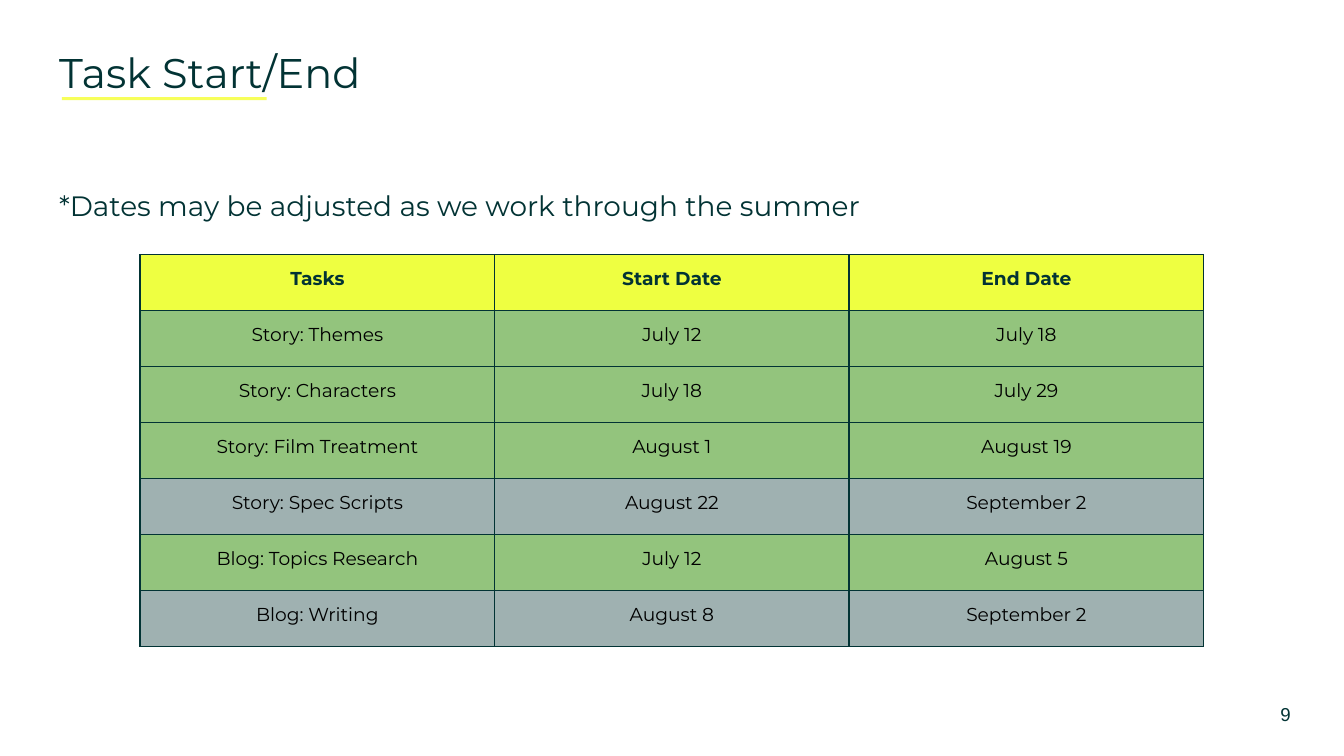
import pptx
import pptx.dml.color
import pptx.enum.shapes
import pptx.enum.text
import pptx.oxml
import pptx.oxml.ns
import pptx.util

RGBColor = pptx.dml.color.RGBColor
Align = pptx.enum.text.PP_ALIGN
Anchor = pptx.enum.text.MSO_ANCHOR

WIDTH = pptx.util.Inches(10)
HEIGHT = WIDTH * 9 // 16

DARK = RGBColor(0x02, 0x33, 0x34)
BLACK = RGBColor(0x00, 0x00, 0x00)
UNDERLINE = RGBColor(0xF7, 0xFF, 0x5A)
HEADER_FILL = RGBColor(0xEE, 0xFF, 0x41)
GREEN = RGBColor(0x93, 0xC4, 0x7D)
TEAL = RGBColor(0x03, 0x33, 0x33)
TEAL_OPACITY = 38

TITLE_FONT = {"name": "Montserrat", "size": pptx.util.Pt(22.2), "color": DARK}
NOTE_FONT = {"name": "Montserrat", "size": pptx.util.Pt(15), "color": DARK}
NUMBER_FONT = {"name": "Arial", "size": pptx.util.Pt(10), "color": DARK}
CELL_FONT = {"name": "Montserrat", "size": pptx.util.Pt(10), "color": BLACK, "bold": False}
HEADER_FONT = {**CELL_FONT, "color": DARK, "bold": True}

COLUMN_SHARE = 26.38
ROW_SHARE = 7.41
HEADINGS = ("Tasks", "Start Date", "End Date")
# Each task: name, start, end, fill colour, opacity in percent
TASKS = (
    ("Story: Themes", "July 12", "July 18", GREEN, 100),
    ("Story: Characters", "July 18", "July 29", GREEN, 100),
    ("Story: Film Treatment", "August 1", "August 19", GREEN, 100),
    ("Story: Spec Scripts", "August 22", "September 2", TEAL, TEAL_OPACITY),
    ("Blog: Topics Research", "July 12", "August 5", GREEN, 100),
    ("Blog: Writing", "August 8", "September 2", TEAL, TEAL_OPACITY),
)


def area(left, top, width, height):
    """Turn percentages of the slide's size into lengths."""
    return [
        int(size * share / 100)
        for size, share in zip((WIDTH, HEIGHT) * 2, (left, top, width, height))
    ]


def set_margins(holder):
    for side in ("left", "top", "right", "bottom"):
        setattr(holder, f"margin_{side}", pptx.util.Inches(0.1))


def format_paragraph(paragraph, font_values, **paragraph_values):
    for name, value in paragraph_values.items():
        setattr(paragraph, name, value)
    for run in paragraph.runs:
        for name, value in font_values.items():
            if name == "color":
                run.font.color.rgb = value
            else:
                setattr(run.font, name, value)


def add_text(slide, place, text, font_values, anchor=Anchor.TOP, **paragraph_values):
    frame = slide.shapes.add_textbox(*place).text_frame
    frame.word_wrap = True
    frame.vertical_anchor = anchor
    set_margins(frame)
    frame.text = text
    format_paragraph(frame.paragraphs[0], font_values, **paragraph_values)


def add_underline(slide, place):
    shape = slide.shapes.add_shape(pptx.enum.shapes.MSO_SHAPE.RECTANGLE, *place)
    shape.shadow.inherit = False
    shape.fill.solid()
    shape.fill.fore_color.rgb = UNDERLINE
    shape.line.fill.background()


def add_borders(cell):
    """Draw all four sides; border elements must come before the fill."""
    properties = cell._tc.get_or_add_tcPr()
    for index, side in enumerate("LRTB"):
        border = pptx.oxml.parse_xml(
            f'<a:ln{side} {pptx.oxml.ns.nsdecls("a")} w="{pptx.util.Pt(0.75)}">'
            f'<a:solidFill><a:srgbClr val="{DARK}"/></a:solidFill></a:ln{side}>'
        )
        properties.insert(index, border)


def fill_cell(cell, color, opacity):
    cell.fill.solid()
    cell.fill.fore_color.rgb = color
    if opacity < 100:
        color_element = cell._tc.tcPr.find(".//" + pptx.oxml.ns.qn("a:srgbClr"))
        color_element.append(pptx.oxml.parse_xml(
            f'<a:alpha {pptx.oxml.ns.nsdecls("a")} val="{opacity * 1000}"/>'
        ))


def add_schedule(slide, left, top):
    rows = [(*HEADINGS, HEADER_FILL, 100), *TASKS]
    place = area(left, top, COLUMN_SHARE * len(HEADINGS), ROW_SHARE * len(rows))
    table = slide.shapes.add_table(len(rows), len(HEADINGS), *place).table
    for row_index, (*texts, color, opacity) in enumerate(rows):
        font_values = CELL_FONT if row_index else HEADER_FONT
        for column_index, text in enumerate(texts):
            cell = table.cell(row_index, column_index)
            cell.text = text
            set_margins(cell)
            format_paragraph(cell.text_frame.paragraphs[0], font_values, alignment=Align.CENTER)
            fill_cell(cell, color, opacity)
            add_borders(cell)


def main():
    presentation = pptx.Presentation()
    presentation.slide_width, presentation.slide_height = WIDTH, HEIGHT
    slide = presentation.slides.add_slide(presentation.slide_layouts[6])
    add_text(slide, area(3.41, 4.45, 93.2, 11.2), "Task Start/End", TITLE_FONT)
    add_underline(slide, area(4.6, 12.85, 15.24, 0.4))
    add_text(slide, area(92.65, 90.67, 6, 7.65), "9", NUMBER_FONT,
             anchor=Anchor.MIDDLE, alignment=Align.CENTER)
    add_schedule(slide, 10.42, 33.65)
    add_text(slide, area(3.41, 22.45, 93.2, 9.07),
             "*Dates may be adjusted as we work through the summer", NOTE_FONT,
             line_spacing=1.15, space_after=pptx.util.Pt(12))
    presentation.save("out.pptx")


if __name__ == "__main__":
    main()
